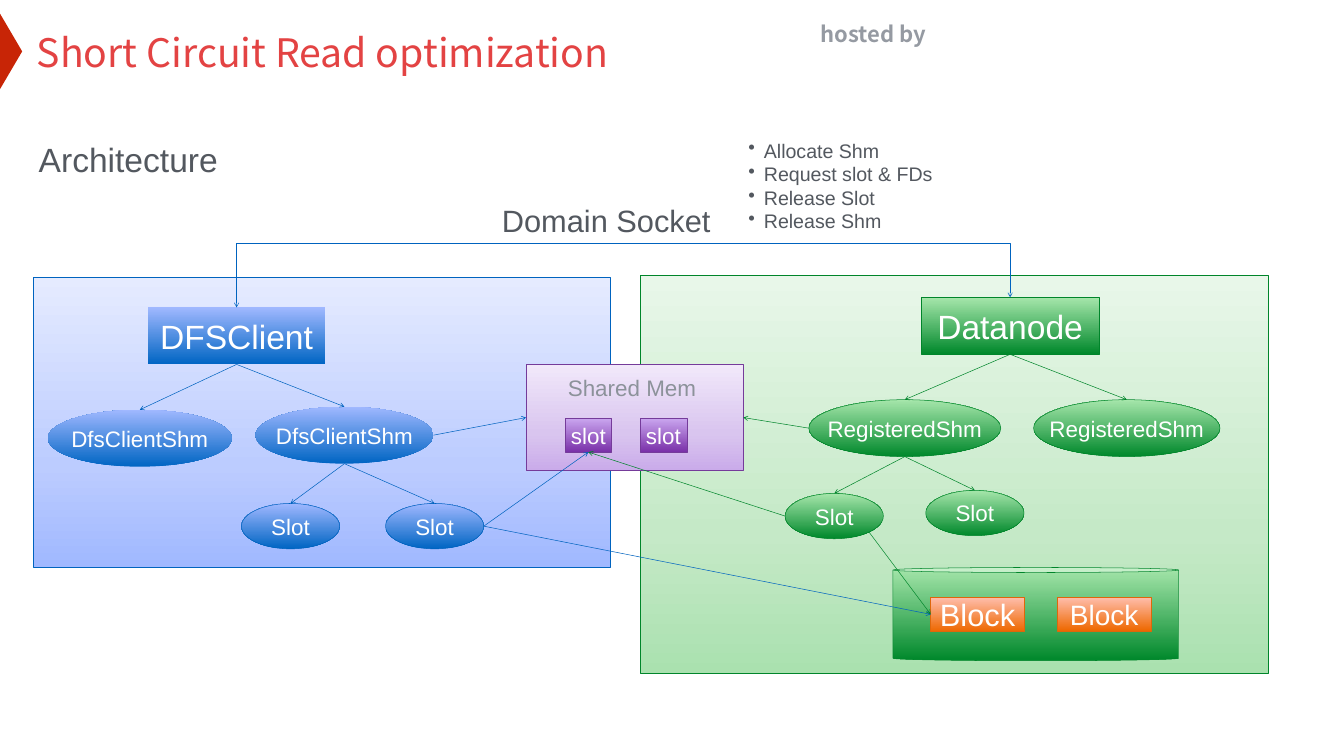
from copy import deepcopy
from dataclasses import dataclass
from typing import Optional

from lxml import etree
from pptx import Presentation
from pptx.dml.color import RGBColor
from pptx.enum.shapes import MSO_CONNECTOR, MSO_SHAPE
from pptx.enum.text import MSO_ANCHOR, PP_ALIGN
from pptx.oxml.ns import qn
from pptx.util import Inches, Pt

RECT, ELLIPSE, CAN = MSO_SHAPE.RECTANGLE, MSO_SHAPE.OVAL, MSO_SHAPE.CAN
STRAIGHT, ELBOW = MSO_CONNECTOR.STRAIGHT, MSO_CONNECTOR.ELBOW
TOP, MIDDLE, BOTTOM = MSO_ANCHOR.TOP, MSO_ANCHOR.MIDDLE, MSO_ANCHOR.BOTTOM
LEFT, CENTER = PP_ALIGN.LEFT, PP_ALIGN.CENTER

# The slide is a fine grid; every length below counts its columns and rows.
COLS, ROWS = 2667, 1500
CELL = Inches(0.01)

WHITE = RGBColor(0xFF, 0xFF, 0xFF)
INK = RGBColor(0x53, 0x58, 0x5F)
GREY = RGBColor(0x8C, 0x92, 0x9A)
HOST_GREY = RGBColor(0x95, 0x9A, 0xA2)
TITLE_RED = RGBColor(0xE3, 0x43, 0x43)
MARKER_RED = RGBColor(0xC8, 0x25, 0x06)
BLUE = RGBColor(0x00, 0x63, 0xBF)
GREEN = RGBColor(0x00, 0x85, 0x2A)
PURPLE = RGBColor(0x75, 0x3B, 0x9A)
ORANGE = RGBColor(0xDE, 0x67, 0x0B)

BODY_FONT, HEAD_FONT = "Arial", "Noto Sans CJK SC"


@dataclass(frozen=True)
class Theme:
    """Gradients run from the bottom of a shape to its top."""
    line: RGBColor
    solid: tuple
    pale: tuple = ()


def stops(*pairs: tuple) -> tuple:
    return tuple((share, RGBColor.from_string(code)) for share, code in pairs)


CLIENT = Theme(BLUE, stops((0, "0065C3"), (1, "A0B8FF")),
               stops((0, "A0B8FF"), (0.35, "BCCCFF"), (1, "E5EBFF")))
SERVER = Theme(GREEN, stops((0, "00882B"), (1, "A6E6AB")),
               stops((0, "AAE1AF"), (0.35, "C5E9C7"), (1, "E8F7E9")))
MEMORY = Theme(PURPLE, stops((0, "7A31A9"), (1, "CAA6EF")),
               stops((0, "CAABEA"), (0.35, "D9C5EF"), (1, "F1E8FA")))
STORAGE = Theme(ORANGE, stops((0, "EE6800"), (1, "FFBEAD")))


@dataclass(frozen=True)
class Node:
    kind: int
    theme: Theme
    col: float
    row: float
    cols: float
    rows: float
    label: str = ""
    size: float = 32
    pale: bool = False
    outlined: bool = True

    def at(self, x: float, y: float) -> tuple:
        """Point at the given shares of the node's width and height."""
        return self.col + x * self.cols, self.row + y * self.rows


# Connection sites as shares of a node's box
N, S, W, E = (0.5, 0), (0.5, 1), (0, 0.5), (1, 0.5)
SE = (0.854, 0.854)


def slot(theme: Theme, col: float, row: float) -> Node:
    return Node(ELLIPSE, theme, col, row, 195, 90, "Slot")


NODES = {
    "server": Node(RECT, SERVER, 1270, 547, 1246, 789, pale=True),
    "client": Node(RECT, CLIENT, 67, 551, 1144, 575, pale=True),
    "dfs": Node(RECT, CLIENT, 293, 610, 353, 113, "DFSClient", 48, outlined=False),
    "client shm 2": Node(ELLIPSE, CLIENT, 507, 807, 353, 113, "DfsClientShm", outlined=False),
    "client slot 1": slot(CLIENT, 479, 999),
    "client slot 2": slot(CLIENT, 765, 999),
    "memory": Node(RECT, MEMORY, 1044, 723, 431, 211, pale=True),
    "memory slot 1": Node(RECT, MEMORY, 1121, 830, 93, 67, "slot"),
    "memory slot 2": Node(RECT, MEMORY, 1270, 830, 93, 67, "slot"),
    "client shm 1": Node(ELLIPSE, CLIENT, 95, 813, 365, 113, "DfsClientShm", outlined=False),
    "datanode": Node(RECT, SERVER, 1828, 590, 353, 113, "Datanode", 48),
    "server shm 1": Node(ELLIPSE, SERVER, 1605, 793, 381, 113, "RegisteredShm"),
    "server shm 2": Node(ELLIPSE, SERVER, 2051, 793, 370, 113, "RegisteredShm"),
    "server slot 1": slot(SERVER, 1558, 979),
    "server slot 2": slot(SERVER, 1837, 973),
    "disk": Node(CAN, SERVER, 1772, 1126, 567, 185),
    "block 1": Node(RECT, STORAGE, 1847, 1185, 186, 68, "Block", 44),
    "block 2": Node(RECT, STORAGE, 2098, 1185, 186, 67, "Block", 40),
}

# (from, site, to, site); each arrow takes the colour of the node it leaves
ARROWS = [
    ("dfs", S, "client shm 1", N),
    ("dfs", S, "client shm 2", N),
    ("client shm 2", S, "client slot 1", N),
    ("client shm 2", S, "client slot 2", N),
    ("client slot 2", E, "memory slot 1", S),
    ("client slot 2", E, "block 1", W),
    ("server slot 1", W, "memory slot 1", S),
    ("server slot 1", SE, "block 1", W),
    ("client shm 2", E, "memory", W),
    ("server shm 1", W, "memory", E),
    ("datanode", S, "server shm 1", N),
    ("datanode", S, "server shm 2", N),
    ("server shm 1", S, "server slot 1", N),
    ("server shm 1", S, "server slot 2", N),
]
SOCKET_ROW = 483


def grid(*cells: float) -> list:
    return [round(c * CELL) for c in cells]


def write(s, *lines: str, size: float, color: RGBColor = INK, font: str = BODY_FONT,
          bold: bool = False, align: int = LEFT, anchor: int = TOP, wrap: bool = True,
          inset: tuple = (0.1, 0.05), spacing: Optional[float] = None,
          bullet_indent: float = 0) -> None:
    tf = s.text_frame
    tf.word_wrap, tf.vertical_anchor = wrap, anchor
    tf.margin_left = tf.margin_right = Inches(inset[0])
    tf.margin_top = tf.margin_bottom = Inches(inset[1])
    for i, line in enumerate(lines):
        p = tf.add_paragraph() if i else tf.paragraphs[0]
        p.alignment, p.line_spacing = align, spacing
        r = p.add_run()
        r.text = line
        r.font.size, r.font.name, r.font.bold = Pt(size), font, bold
        r.font.color.rgb = color
        if bullet_indent:
            pPr = p._p.get_or_add_pPr()
            indent = grid(bullet_indent)[0]
            pPr.set("marL", str(indent))
            pPr.set("indent", str(-indent))
            etree.SubElement(pPr, qn("a:buChar")).set("char", "•")


def add_text(shapes, box: tuple, *lines: str, **style) -> None:
    write(shapes.add_textbox(*grid(*box)), *lines, **style)


def fill_gradient(s, colors: tuple) -> None:
    s.fill.gradient()
    s.fill.gradient_angle = 90
    stop_list = s._element.spPr.find(".//" + qn("a:gsLst"))
    for _ in colors[2:]:
        stop_list.insert(1, deepcopy(stop_list[0]))
    for stop, (share, color) in zip(s.fill.gradient_stops, colors):
        stop.position, stop.color.rgb = share, color


def add_node(shapes, node: Node) -> None:
    s = shapes.add_shape(node.kind, *grid(node.col, node.row, node.cols, node.rows))
    s.shadow.inherit = False
    fill_gradient(s, node.theme.pale if node.pale else node.theme.solid)
    if node.outlined:
        s.line.color.rgb, s.line.width = node.theme.line, Pt(0.75)
    else:
        s.line.fill.background()
    if node.kind == CAN:
        s.adjustments[0] = 0.054
    if node.label:
        write(s, node.label, size=node.size, color=WHITE, align=CENTER,
              anchor=MIDDLE, wrap=False)


def add_arrow(shapes, start: tuple, end: tuple, color: RGBColor,
              kind: int = STRAIGHT, ends: tuple = ("tailEnd",)):
    c = shapes.add_connector(kind, *grid(*start, *end))
    c.line.color.rgb, c.line.width = color, Pt(0.75)
    for tag in ends:
        etree.SubElement(c.line._ln, qn("a:" + tag)).set("type", "arrow")
    etree.SubElement(c._element.spPr, qn("a:effectLst"))
    return c


def add_socket(shapes, a: tuple, b: tuple, row: float) -> None:
    """Elbow from a up to the row, across, and down to b: a quarter-turned connector."""
    run, rise = b[0] - a[0], a[1] - b[1]
    x, y = (a[0] + b[0]) / 2, (a[1] + b[1]) / 2
    c = add_arrow(shapes, (x - rise / 2, y - run / 2), (x + rise / 2, y + run / 2),
                  BLUE, ELBOW, ("headEnd", "tailEnd"))
    spPr = c._element.spPr
    spPr.find(qn("a:xfrm")).set("rot", str(270 * 60000))
    guide = etree.SubElement(spPr.find(".//" + qn("a:avLst")), qn("a:gd"))
    guide.set("name", "adj1")
    guide.set("fmla", f"val {round((a[1] - row) / rise * 100000)}")


def add_marker(shapes) -> None:
    builder = shapes.build_freeform(0, 27, scale=CELL)
    builder.add_line_segments([(0, 177), (44, 102)], close=True)
    s = builder.convert_to_shape()
    s.shadow.inherit = False
    s.fill.solid()
    s.fill.fore_color.rgb = MARKER_RED
    s.line.fill.background()


def main() -> None:
    prs = Presentation()
    prs.slide_width, prs.slide_height = grid(COLS, ROWS)
    shapes = prs.slides.add_slide(prs.slide_layouts[6]).shapes

    heading = dict(font=HEAD_FONT, anchor=BOTTOM, inset=(0.06, 0.06))
    add_marker(shapes)
    add_text(shapes, (1622, 45, 257, 54), "hosted by", size=31.4, color=HOST_GREY,
             bold=True, spacing=0.8, **heading)
    add_text(shapes, (67, 33, 1532, 123), "Short Circuit Read optimization", size=56,
             color=TITLE_RED, **heading)
    add_text(shapes, (67, 270, 2473, 885), "Architecture", size=48)

    for node in NODES.values():
        add_node(shapes, node)

    add_text(shapes, (1117, 738, 369, 122), "Shared Mem", size=32, color=GREY)
    add_text(shapes, (986, 396, 670, 96), "Domain Socket", size=44)
    add_text(shapes, (1475, 270, 641, 176), "Allocate Shm", "Request slot & FDs",
             "Release Slot", "Release Shm", size=28, bullet_indent=31)

    add_socket(shapes, NODES["dfs"].at(*N), NODES["datanode"].at(*N), SOCKET_ROW)
    for source, leaves, target, enters in ARROWS:
        node = NODES[source]
        add_arrow(shapes, node.at(*leaves), NODES[target].at(*enters), node.theme.line)

    prs.save("out.pptx")


if __name__ == "__main__":
    main()
